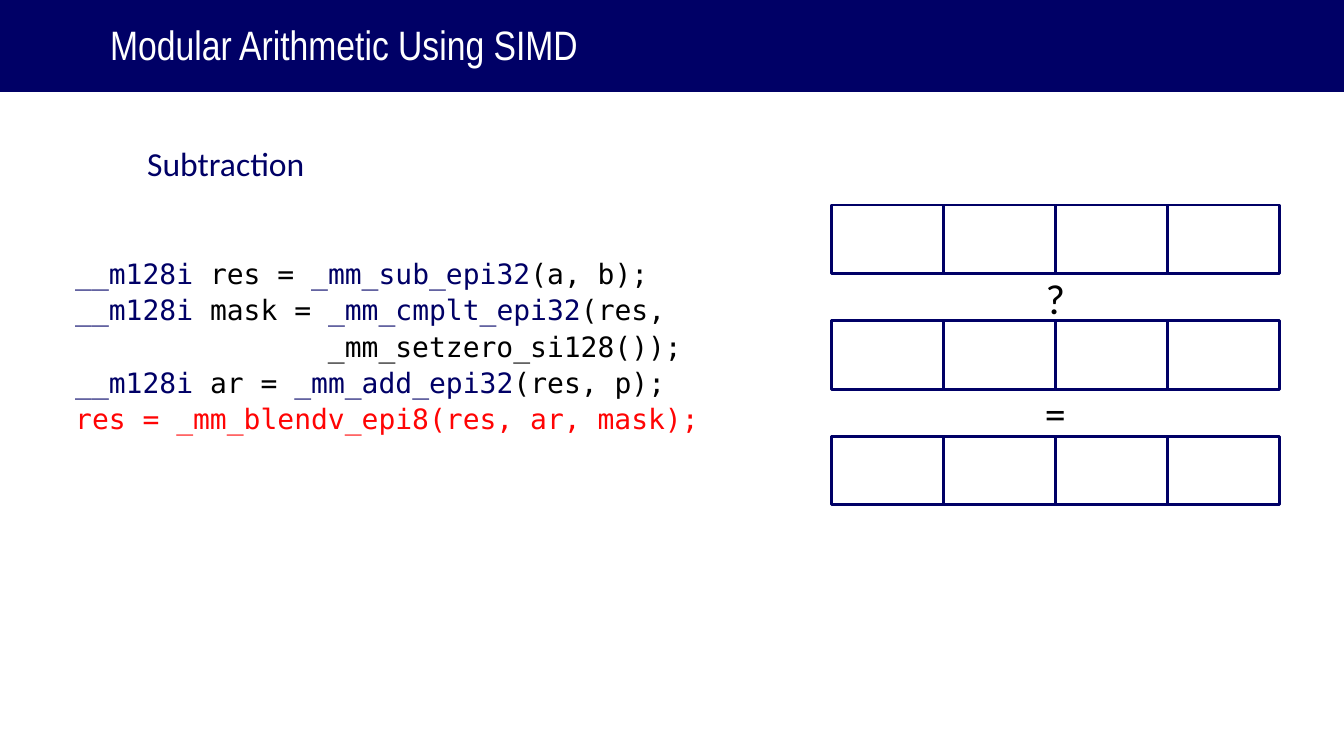
from dataclasses import dataclass

from lxml.etree import SubElement
from pptx import Presentation
from pptx.dml.color import RGBColor
from pptx.enum.shapes import MSO_SHAPE as Shape
from pptx.enum.text import MSO_ANCHOR as Anchor, MSO_AUTO_SIZE as AutoSize, PP_ALIGN as Align
from pptx.oxml.ns import qn
from pptx.util import Pt


@dataclass(frozen=True)
class Theme:
    navy: RGBColor = RGBColor(0x00, 0x00, 0x66)
    black: RGBColor = RGBColor(0x00, 0x00, 0x00)
    white: RGBColor = RGBColor(0xFF, 0xFF, 0xFF)
    red: RGBColor = RGBColor(0xFF, 0x04, 0x04)
    title_font: str = "Arial Narrow"
    body_font: str = "Calibri"
    code_font: str = "DejaVu Sans Mono"
    title_size: float = 44
    body_size: float = 36
    code_size: float = 30
    symbol_size: float = 45


T = Theme()

CODE = [
    [("__m128i", T.navy), (" res = ", T.black), ("_mm_sub_epi32", T.navy), ("(a, b);", T.black)],
    [("__m128i ", T.navy), ("mask = ", T.black), ("_mm_cmplt_epi32", T.navy), ("(res,", T.black)],
    [("               _mm_setzero_si128());", T.black)],
    [("__m128i", T.navy), (" ar = ", T.black), ("_mm_add_epi32", T.navy), ("(res, p);", T.black)],
    [("res = _mm_blendv_epi8(res, ar, mask);", T.red)],
]

LANES = 4
CELL_WIDTH, CELL_HEIGHT = 120, 73.5
VECTOR_LEFT, VECTOR_TOP, VECTOR_PITCH = 890.7, 219.6, 123.84
SYMBOL_OFFSET, SYMBOL_WIDTH = 67.7, 24.5


def place(shape, left, top, width, height):
    shape.left, shape.top = Pt(left), Pt(top)
    shape.width, shape.height = Pt(width), Pt(height)


def prepare_frame(tf):
    tf.margin_left = tf.margin_right = tf.margin_top = tf.margin_bottom = 0
    tf.vertical_anchor = Anchor.TOP
    tf.auto_size = AutoSize.NONE
    tf.word_wrap = True


def style_run(r, font, size, color):
    r.font.name, r.font.size, r.font.color.rgb = font, Pt(size), color


def set_line(tf, text, font, size, color, spacing, align=Align.LEFT):
    """Fill a frame with one formatted paragraph."""
    prepare_frame(tf)
    tf.text = text
    p = tf.paragraphs[0]
    p.alignment, p.line_spacing, p.space_before = align, Pt(spacing), Pt(0)
    style_run(p.runs[0], font, size, color)
    return p


def add_box(s, shape_type, left, top, width, height):
    sp = s.shapes.add_shape(shape_type, Pt(left), Pt(top), Pt(width), Pt(height))
    sp.shadow.inherit = False
    return sp


def add_title(s, text):
    """Set the title on a full-width band that lies behind it."""
    title = s.shapes.title
    place(title, 118, 26.6, 728, 49)
    set_line(title.text_frame, text, T.title_font, T.title_size, T.white, 47.5)
    band = add_box(s, Shape.RECTANGLE, 0, 0, 1440, 98.6)
    band.fill.solid()
    band.fill.fore_color.rgb = T.navy
    band.line.fill.background()
    title.element.addprevious(band.element)


def add_topic(s, text):
    body = s.placeholders[1]
    place(body, 157.7, 152.6, 295, 42.5)
    p = set_line(body.text_frame, text, T.body_font, T.body_size, T.navy, 43.2)
    pPr = p._p.get_or_add_pPr()
    pPr.set("marL", "0")
    pPr.set("indent", "0")
    SubElement(pPr, qn("a:buNone"))


def add_code(s, lines):
    tf = s.shapes.add_textbox(Pt(80.6), Pt(271.6), Pt(808.6), Pt(195)).text_frame
    prepare_frame(tf)
    for i, line in enumerate(lines):
        p = tf.add_paragraph() if i else tf.paragraphs[0]
        p.line_spacing = Pt(39)
        for text, color in line:
            r = p.add_run()
            r.text = text
            style_run(r, T.code_font, T.code_size, color)


def add_vector(s, top):
    for lane in range(LANES):
        cell = add_box(s, Shape.RECTANGLE, VECTOR_LEFT + lane * CELL_WIDTH, top,
                       CELL_WIDTH, CELL_HEIGHT)
        cell.fill.background()
        cell.line.color.rgb = T.navy
        cell.line.width = Pt(3)


def add_symbol(s, text, top):
    left = VECTOR_LEFT + (LANES * CELL_WIDTH - SYMBOL_WIDTH) / 2
    box = s.shapes.add_textbox(Pt(left), Pt(top), Pt(SYMBOL_WIDTH), Pt(56))
    set_line(box.text_frame, text, T.body_font, T.symbol_size, T.black, 58.5, Align.CENTER)


def main():
    prs = Presentation()
    prs.slide_width, prs.slide_height = Pt(1440), Pt(810)
    s = prs.slides.add_slide(prs.slide_layouts[1])
    add_title(s, "Modular Arithmetic Using SIMD")
    add_topic(s, "Subtraction")
    add_code(s, CODE)
    for row, symbol in enumerate(["?", "=", None]):
        top = VECTOR_TOP + row * VECTOR_PITCH
        add_vector(s, top)
        if symbol:
            add_symbol(s, symbol, top + SYMBOL_OFFSET)
    prs.save("out.pptx")


if __name__ == "__main__":
    main()
